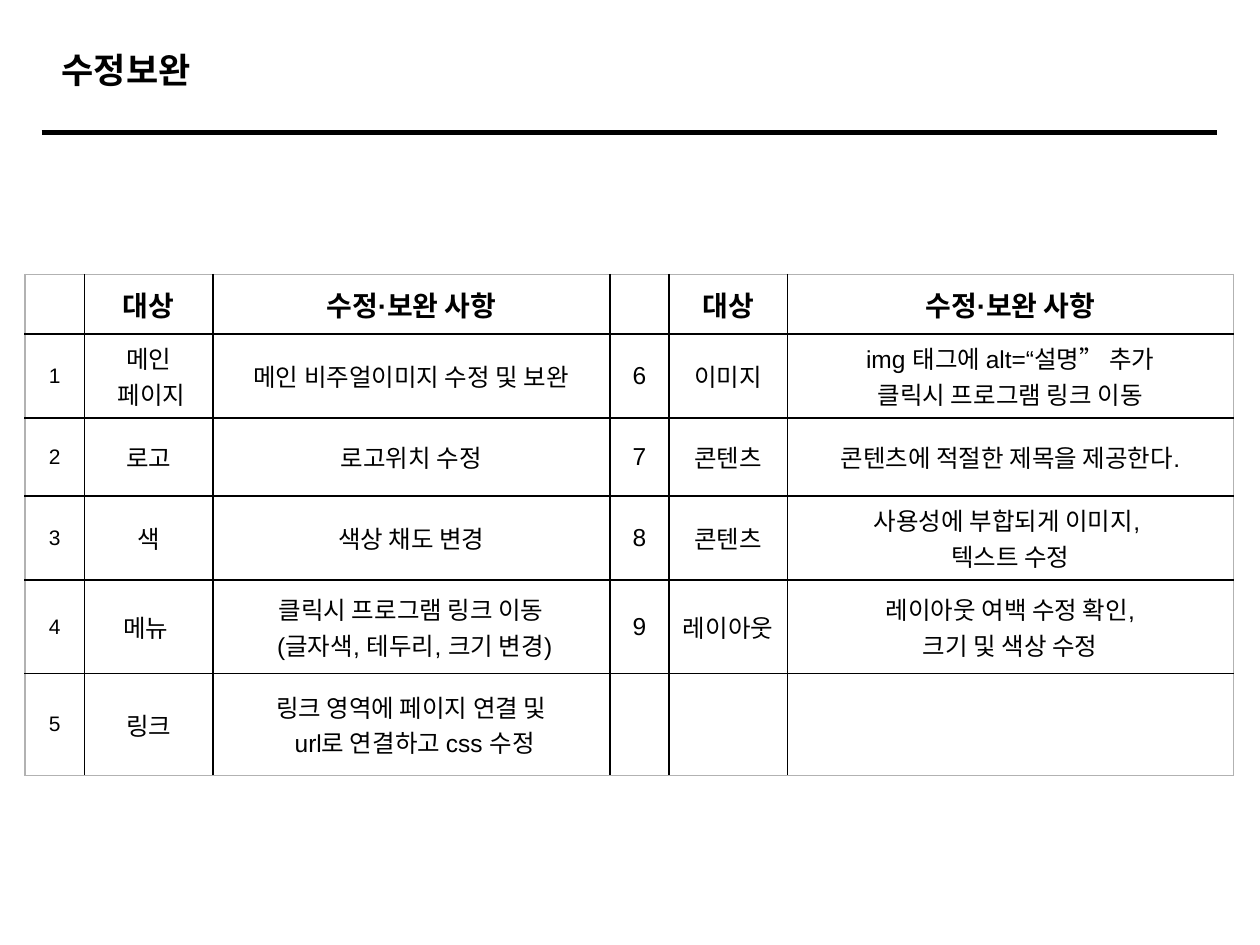
import pptx
import pptx.util
import pptx.oxml
import pptx.oxml.ns
import pptx.dml.color
import pptx.enum.text
import pptx.enum.shapes

TITLE = "수정보완"
HEAD = ["", "대상", "수정·보완 사항"] * 2
ROWS = [
    HEAD,
    ["1", "메인\n 페이지", "메인 비주얼이미지 수정 및 보완",
     "6", "이미지", "img 태그에 alt=“설명” 추가\n클릭시 프로그램 링크 이동"],
    ["2", "로고", "로고위치 수정",
     "7", "콘텐츠", "콘텐츠에 적절한 제목을 제공한다."],
    ["3", "색", "색상 채도 변경",
     "8", "콘텐츠", "사용성에 부합되게 이미지, \n텍스트 수정"],
    ["4", "메뉴 ", "클릭시 프로그램 링크 이동\n (글자색, 테두리, 크기 변경)",
     "9", "레이아웃", "레이아웃 여백 수정 확인,\n크기 및 색상 수정"],
    ["5", "링크", "링크 영역에 페이지 연결 및\n url로 연결하고 css 수정", "", "", ""],
]
WIDTHS = [0.47, 1.02, 3.15, 0.47, 0.94, 3.54]
HEIGHTS = [0.47, 0.48, 0.62, 0.52, 0.74, 0.81]
BLACK, GREY = "000000", "B2B2B2"

inch = pptx.util.Inches
align = pptx.enum.text.PP_ALIGN
anchor = pptx.enum.text.MSO_ANCHOR


def color(code):
    return pptx.dml.color.RGBColor.from_string(code)


def put(item, values):
    for name, value in values.items():
        setattr(item, name, value)


def style(run, face, size, bold):
    put(run.font, {"name": face, "size": pptx.util.Pt(size), "bold": bold})
    run.font.color.rgb = color(BLACK)


def border(cell, edges):
    props = cell._tc.get_or_add_tcPr()
    for spot, (side, code) in enumerate(edges.items()):
        props.insert(spot, pptx.oxml.parse_xml(
            f'<a:ln{side} {pptx.oxml.ns.nsdecls("a")} w="12700"><a:solidFill>'
            f'<a:srgbClr val="{code}"/></a:solidFill></a:ln{side}>'))


def fill(cell, text, row, col):
    put(cell, {"vertical_anchor": anchor.MIDDLE,
               "margin_left": inch(0.07), "margin_right": inch(0.07),
               "margin_top": inch(0.05), "margin_bottom": inch(0.05)})
    cell.fill.background()
    border(cell, {
        "L": GREY if col == 0 else BLACK,
        "R": GREY if col == len(WIDTHS) - 1 else BLACK,
        "T": GREY if row == 0 else BLACK,
        "B": GREY if row == len(ROWS) - 1 else BLACK})
    if not text:
        return
    size = 16 if row == 0 else 12 if col == 0 else 14
    cell.text_frame.text = text
    for para in cell.text_frame.paragraphs:
        para.alignment = align.CENTER
        for run in para.runs:
            style(run, "Arial", size, row == 0)


def main():
    deck = pptx.Presentation()
    put(deck, {"slide_width": inch(10), "slide_height": inch(7.5)})
    slide = deck.slides.add_slide(deck.slide_layouts[6])
    shapes = slide.shapes

    table = shapes.add_table(
        len(ROWS), len(WIDTHS), inch(0.2), inch(2.18),
        inch(sum(WIDTHS)), inch(sum(HEIGHTS))).table
    put(table, {"first_row": False, "horz_banding": False})
    for col, width in zip(table.columns, WIDTHS):
        col.width = inch(width)
    for line, height in zip(table.rows, HEIGHTS):
        line.height = inch(height)
    for row, texts in enumerate(ROWS):
        for col, text in enumerate(texts):
            fill(table.cell(row, col), text, row, col)

    frame = shapes.add_textbox(
        inch(0.39), inch(0.37), inch(5.42), inch(0.48)).text_frame
    put(frame, {"word_wrap": True, "text": TITLE})
    para = frame.paragraphs[0]
    para.line_spacing = 0.9
    style(para.runs[0], "Noto Sans CJK KR", 20, True)

    rule = shapes.add_connector(
        pptx.enum.shapes.MSO_CONNECTOR.STRAIGHT,
        inch(0.33), inch(1.05), inch(9.66), inch(1.05))
    rule.line.width = pptx.util.Pt(3)
    rule.line.color.rgb = color(BLACK)
    rule._element.spPr.append(pptx.oxml.parse_xml(
        f'<a:effectLst {pptx.oxml.ns.nsdecls("a")}/>'))

    deck.save("out.pptx")


if __name__ == "__main__":
    main()
